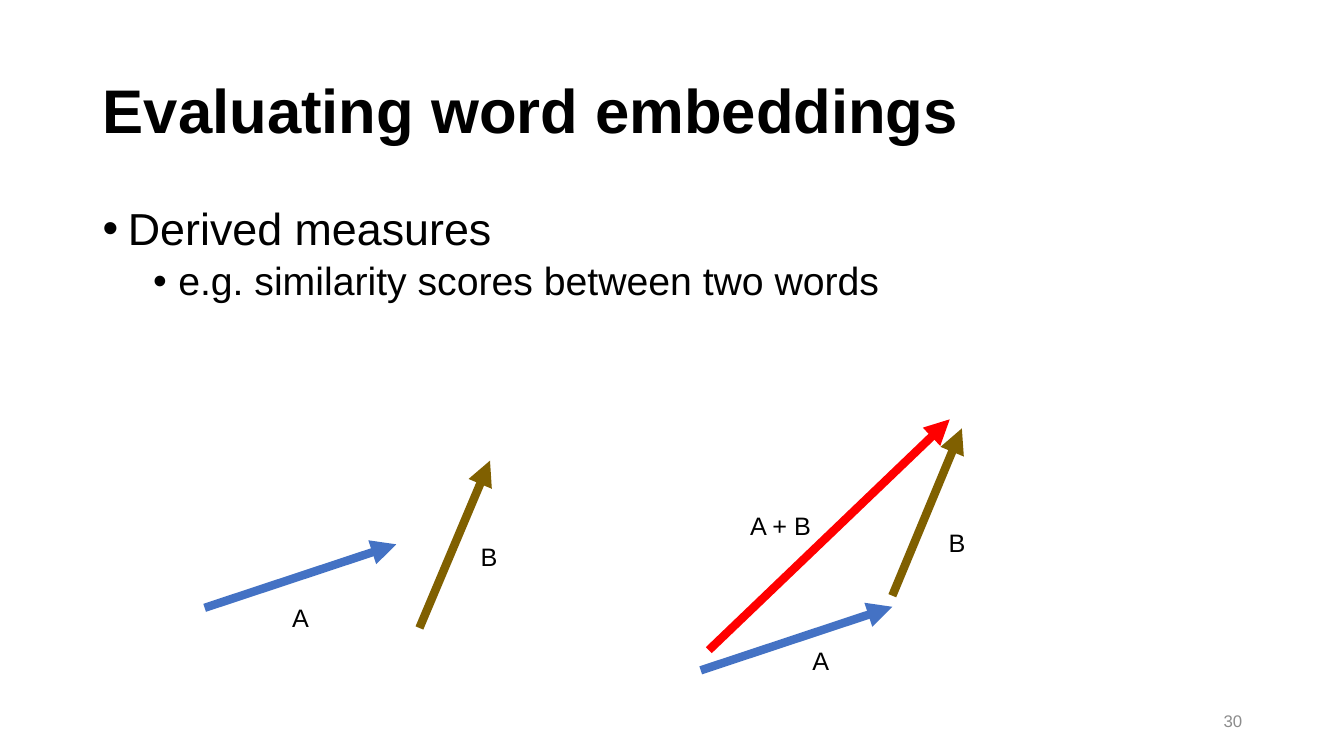
from lxml.etree import SubElement
from pptx import Presentation
from pptx.dml.color import RGBColor
from pptx.enum.shapes import MSO_CONNECTOR
from pptx.enum.text import MSO_ANCHOR, MSO_AUTO_SIZE, PP_ALIGN
from pptx.oxml.ns import qn
from pptx.util import Inches, Pt

BLACK = RGBColor(0x00, 0x00, 0x00)
GRAY = RGBColor(0x8C, 0x8C, 0x8C)
BLUE = RGBColor(0x44, 0x72, 0xC4)
BROWN = RGBColor(0x80, 0x60, 0x00)
RED = RGBColor(0xFF, 0x00, 0x00)


def write(para, text, size=18, color=BLACK, bold=False,
          align=PP_ALIGN.LEFT, spacing=None, before=None):
    para.text = text
    para.alignment = align
    if spacing:
        para.line_spacing = spacing
    if before:
        para.space_before = Pt(before)
    font = para.runs[0].font
    font.name, font.size, font.bold = "Arial", Pt(size), bold
    font.color.rgb = color


def add_box(slide, left, top, width, height, wrap=True,
            anchor=MSO_ANCHOR.TOP):
    box = slide.shapes.add_textbox(
        Inches(left), Inches(top), Inches(width), Inches(height))
    frame = box.text_frame
    frame.word_wrap = wrap
    frame.vertical_anchor = anchor
    return frame


def add_title(slide, text):
    title = slide.shapes.title
    title.left, title.top = Inches(0.92), Inches(0.4)
    title.width, title.height = Inches(11.5), Inches(1.45)
    frame = title.text_frame
    frame.auto_size = MSO_AUTO_SIZE.NONE
    frame.vertical_anchor = MSO_ANCHOR.MIDDLE
    write(frame.paragraphs[0], text, size=44, bold=True, spacing=0.9)


def add_bullet(para, level):
    para.level = level
    props = para._p.get_or_add_pPr()
    props.set("marL", str(Inches(0.25 + 0.5 * level)))
    props.set("indent", str(Inches(-0.25)))
    SubElement(props, qn("a:buFont")).set("typeface", "Arial")
    SubElement(props, qn("a:buChar")).set("char", "•")


def add_list(slide, items):
    frame = add_box(slide, 0.92, 2, 11.5, 4.76)
    for i, (text, level, size) in enumerate(items):
        para = frame.add_paragraph() if i else frame.paragraphs[0]
        add_bullet(para, level)
        write(para, text, size=size, spacing=0.9, before=5 if i else None)


def add_arrow(slide, start, end, color):
    points = [Inches(n) for n in (*start, *end)]
    arrow = slide.shapes.add_connector(MSO_CONNECTOR.STRAIGHT, *points)
    arrow.line.color.rgb = color
    arrow.line.width = Pt(6)
    SubElement(arrow.line._get_or_add_ln(), qn("a:tailEnd")).set(
        "type", "triangle")
    SubElement(arrow._element.spPr, qn("a:effectLst"))


def add_label(slide, text, left, top, width=0.37):
    frame = add_box(slide, left, top, width, 0.4, wrap=False)
    frame.auto_size = MSO_AUTO_SIZE.SHAPE_TO_FIT_TEXT
    write(frame.paragraphs[0], text)


def main():
    deck = Presentation()
    deck.slide_width, deck.slide_height = Inches(13.33), Inches(7.5)
    slide = deck.slides.add_slide(deck.slide_layouts[5])

    # Heading, bullets and page number
    add_title(slide, "Evaluating word embeddings")
    add_list(slide, [
        ("Derived measures", 0, 32),
        ("e.g. similarity scores between two words", 1, 28),
    ])
    page = add_box(slide, 9.42, 6.95, 3, 0.4, anchor=MSO_ANCHOR.MIDDLE)
    write(page.paragraphs[0], "30", size=12, color=GRAY,
          align=PP_ALIGN.RIGHT)

    # Vector sum on the right, then the two vectors on the left
    for start, end, color in [
        ((6.95, 6.65), (8.85, 6.02), BLUE),
        ((8.85, 5.91), (9.54, 4.25), BROWN),
        ((7.03, 6.45), (9.42, 4.16), RED),
        ((2.03, 6.03), (3.93, 5.4), BLUE),
        ((4.16, 6.23), (4.86, 4.57), BROWN),
    ]:
        add_arrow(slide, start, end, color)

    # Vector names
    for text, left, top in [("A", 2.8, 5.93), ("B", 4.67, 5.32),
                            ("A", 7.96, 6.35), ("B", 9.31, 5.18)]:
        add_label(slide, text, left, top)
    add_label(slide, "A + B", 7.34, 5.01, width=0.81)

    deck.save("out.pptx")


if __name__ == "__main__":
    main()
